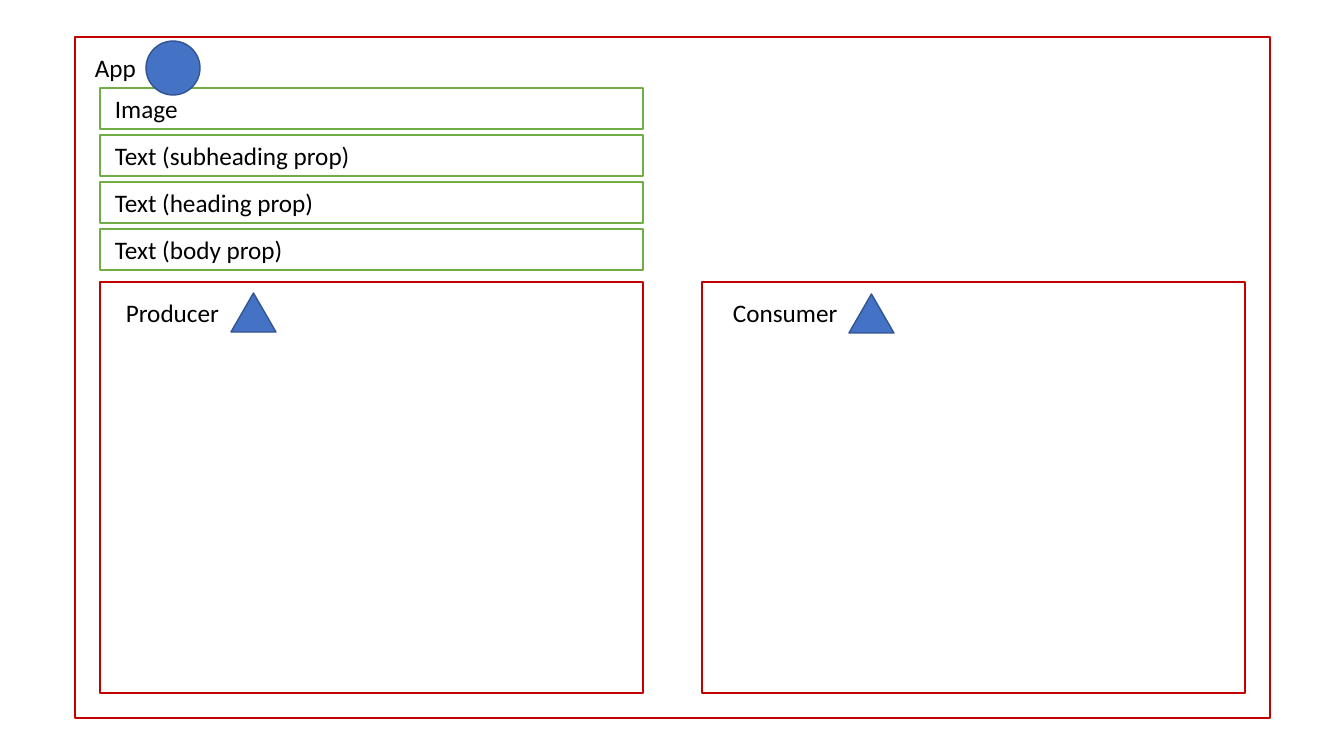
"""Build a component diagram: an App frame, its rows, and two child panels."""
from pptx import Presentation
from pptx.dml.color import RGBColor
from pptx.enum.shapes import MSO_SHAPE
from pptx.enum.text import MSO_AUTO_SIZE
from pptx.util import Pt

APP = ("App", (75, 37, 1195, 681), (85, 47, 61))
APP_MARK = (146, 41, 54, 54)
PROPS = [
    ("Image", 84),
    ("Text (subheading prop)", 258),
    ("Text (heading prop)", 222),
    ("Text (body prop)", 191),
]
PANELS = [
    ("Producer", 100, (116, 115), (231, 293)),
    ("Consumer", 702, (723, 126), (849, 294)),
]

THEME = {
    "font": "Calibri", "size": Pt(18), "line": Pt(1),
    "text": RGBColor.from_string("000000"),
    "component": RGBColor.from_string("C00000"),
    "prop": RGBColor.from_string("70AD47"),
    "mark": RGBColor.from_string("4472C4"),
    "mark_edge": RGBColor.from_string("325491"),
}

EMU_PER_PX = 914400 / 100.8
COLUMN_WIDTH = 543
ROW_LEFT, ROW_TOP, ROW_PITCH, ROW_HEIGHT = 100, 88, 47, 41
ROW_LABEL_LEFT = 105
PANEL_TOP, PANEL_HEIGHT, PANEL_LABEL_TOP = 282, 411, 292
TRIANGLE_SIZE = (45, 39)


def emu(box):
    return [round(px * EMU_PER_PX) for px in box]


def add_outline(kind, box, edge, fill=None):
    outline = slide.shapes.add_shape(kind, *emu(box))
    outline.shadow.inherit = False
    outline.line.color.rgb = edge
    outline.line.width = THEME["line"]
    if fill is None:
        outline.fill.background()
    else:
        outline.fill.solid()
        outline.fill.fore_color.rgb = fill


def add_label(words, left, top, width):
    frame = slide.shapes.add_textbox(*emu((left, top, width, ROW_HEIGHT))).text_frame
    frame.word_wrap = False
    frame.auto_size = MSO_AUTO_SIZE.SHAPE_TO_FIT_TEXT
    frame.text = words
    font = frame.paragraphs[0].font
    font.name, font.size = THEME["font"], THEME["size"]
    font.color.rgb = THEME["text"]


def add_mark(kind, box):
    add_outline(kind, box, THEME["mark_edge"], THEME["mark"])


deck = Presentation()
deck.slide_width, deck.slide_height = emu((1344, 756))
slide = deck.slides.add_slide(deck.slide_layouts[6])

app_name, app_box, app_label = APP
add_outline(MSO_SHAPE.RECTANGLE, app_box, THEME["component"])
add_label(app_name, *app_label)

for panel_name, panel_left, (label_left, label_width), mark_corner in PANELS:
    panel_box = (panel_left, PANEL_TOP, COLUMN_WIDTH, PANEL_HEIGHT)
    add_outline(MSO_SHAPE.RECTANGLE, panel_box, THEME["component"])
    add_label(panel_name, label_left, PANEL_LABEL_TOP, label_width)
    add_mark(MSO_SHAPE.ISOSCELES_TRIANGLE, mark_corner + TRIANGLE_SIZE)

for index, (prop_name, label_width) in enumerate(PROPS):
    row_top = ROW_TOP + index * ROW_PITCH
    row_box = (ROW_LEFT, row_top, COLUMN_WIDTH, ROW_HEIGHT)
    add_outline(MSO_SHAPE.RECTANGLE, row_box, THEME["prop"])
    add_label(prop_name, ROW_LABEL_LEFT, row_top, label_width)

add_mark(MSO_SHAPE.OVAL, APP_MARK)
deck.save("out.pptx")
